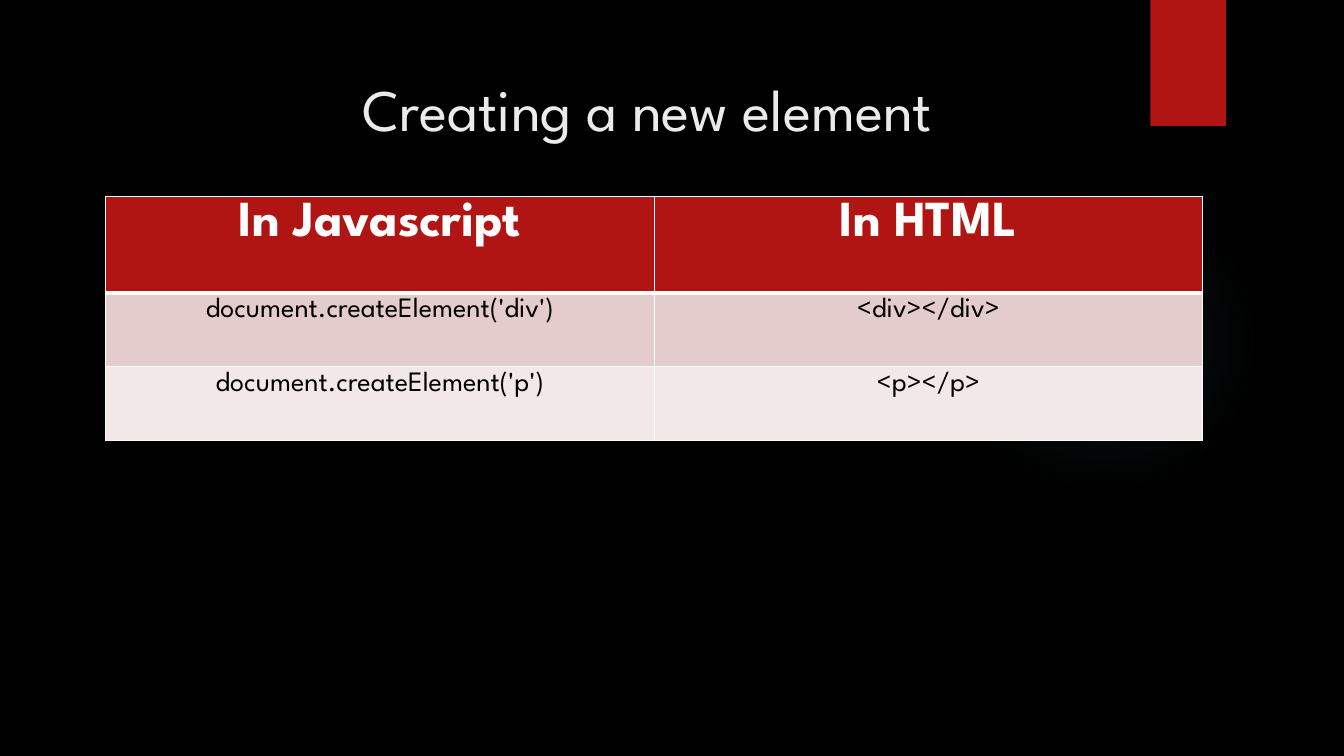
from dataclasses import dataclass

from lxml import etree
from pptx import Presentation
from pptx.dml.color import RGBColor
from pptx.enum.shapes import MSO_SHAPE
from pptx.enum.text import MSO_ANCHOR, PP_ALIGN
from pptx.oxml import parse_xml
from pptx.oxml.ns import nsdecls
from pptx.shapes.autoshape import Shape
from pptx.slide import Slide
from pptx.table import _Cell
from pptx.text.text import TextFrame
from pptx.util import Inches, Pt

RECTANGLE = MSO_SHAPE.RECTANGLE
OVAL = MSO_SHAPE.OVAL
CENTER = PP_ALIGN.CENTER
TOP = MSO_ANCHOR.TOP

FONT = "League Spartan"
RED = "B01513"
WHITE = "FFFFFF"
BLACK = "000000"
GLOW = "50B9C1"
GLOW_STOPS = ((0, 7), (36, 6), (69, 0))  # position and opacity, in percent
THIN, THICK = 1, 3


@dataclass(frozen=True)
class TableRow:
    texts: tuple[str, str]
    height: float
    fill: str
    color: str
    size: int
    bold: bool
    top_border: int
    bottom_border: int


ROWS = (
    TableRow(("In Javascript", "In HTML"), 0.96, RED, WHITE, 36, True, THIN, THICK),
    TableRow(("document.createElement('div')", "<div></div>"),
             0.73, "E4CCCC", BLACK, 20, False, THICK, THIN),
    TableRow(("document.createElement('p')", "<p></p>"),
             0.73, "F2E8E7", BLACK, 20, False, THIN, THIN),
)


def rgb(color: str) -> RGBColor:
    return RGBColor.from_string(color)


def write_text(text_frame: TextFrame, text: str, size: int, color: str,
               bold: bool = False) -> None:
    text_frame.text = text
    paragraph = text_frame.paragraphs[0]
    paragraph.alignment = CENTER
    font = paragraph.runs[0].font
    font.name = FONT
    font.size = Pt(size)
    font.bold = bold
    font.color.rgb = rgb(color)


def add_plain_shape(slide: Slide, kind: MSO_SHAPE, left: float, top: float,
                    width: float, height: float, color: str) -> Shape:
    shape = slide.shapes.add_shape(
        kind, Inches(left), Inches(top), Inches(width), Inches(height))
    shape.shadow.inherit = False
    shape.fill.solid()
    shape.fill.fore_color.rgb = rgb(color)
    shape.line.fill.background()
    return shape


def apply_glow(shape: Shape) -> None:
    """Replace the solid fill with a translucent radial gradient."""
    stops = "".join(
        f'<a:gs pos="{position * 1000}"><a:srgbClr val="{GLOW}">'
        f'<a:alpha val="{opacity * 1000}"/></a:srgbClr></a:gs>'
        for position, opacity in GLOW_STOPS)
    gradient = parse_xml(
        f'<a:gradFill {nsdecls("a")} rotWithShape="1"><a:gsLst>{stops}</a:gsLst>'
        '<a:path path="circle"><a:fillToRect l="50000" t="50000" r="50000" b="50000"/>'
        '</a:path></a:gradFill>')
    properties = shape._element.spPr
    properties.replace(properties.find("{*}solidFill"), gradient)


def border(side: str, width: int) -> etree._Element:
    return parse_xml(
        f'<a:ln{side} {nsdecls("a")} w="{Pt(width)}"><a:solidFill>'
        f'<a:srgbClr val="{WHITE}"/></a:solidFill></a:ln{side}>')


def style_cell(cell: _Cell, text: str, row: TableRow) -> None:
    write_text(cell.text_frame, text, row.size, row.color, row.bold)
    cell.vertical_anchor = TOP
    cell.fill.solid()
    cell.fill.fore_color.rgb = rgb(row.fill)
    widths = {"L": THIN, "R": THIN, "T": row.top_border, "B": row.bottom_border}
    properties = cell._tc.get_or_add_tcPr()
    for index, (side, width) in enumerate(widths.items()):
        properties.insert(index, border(side, width))


def add_title(slide: Slide) -> None:
    title = slide.shapes.add_textbox(
        Inches(1.35), Inches(0.5), Inches(10.29), Inches(1.53))
    text_frame = title.text_frame
    text_frame.word_wrap = True
    text_frame.vertical_anchor = TOP
    text_frame.margin_top = Inches(0.22)
    write_text(text_frame, "Creating a new element ", 42, "EBEBEB")


def add_comparison_table(slide: Slide) -> None:
    height = sum(row.height for row in ROWS)
    table = slide.shapes.add_table(
        len(ROWS), 2, Inches(1.05), Inches(1.95), Inches(10.88), Inches(height)).table
    for row_index, row in enumerate(ROWS):
        table.rows[row_index].height = Inches(row.height)
        for column_index, text in enumerate(row.texts):
            style_cell(table.cell(row_index, column_index), text, row)


def main() -> None:
    presentation = Presentation()
    presentation.slide_width = Inches(13.33)
    presentation.slide_height = Inches(7.5)
    slide = presentation.slides.add_slide(presentation.slide_layouts[6])
    slide.background.fill.solid()
    slide.background.fill.fore_color.rgb = rgb(BLACK)

    apply_glow(add_plain_shape(slide, OVAL, 9.41, 1.83, 3.08, 3.08, GLOW))
    add_plain_shape(slide, RECTANGLE, 11.41, 0, 0.75, 1.25, RED)
    add_title(slide)
    add_comparison_table(slide)
    presentation.save("out.pptx")


if __name__ == "__main__":
    main()
